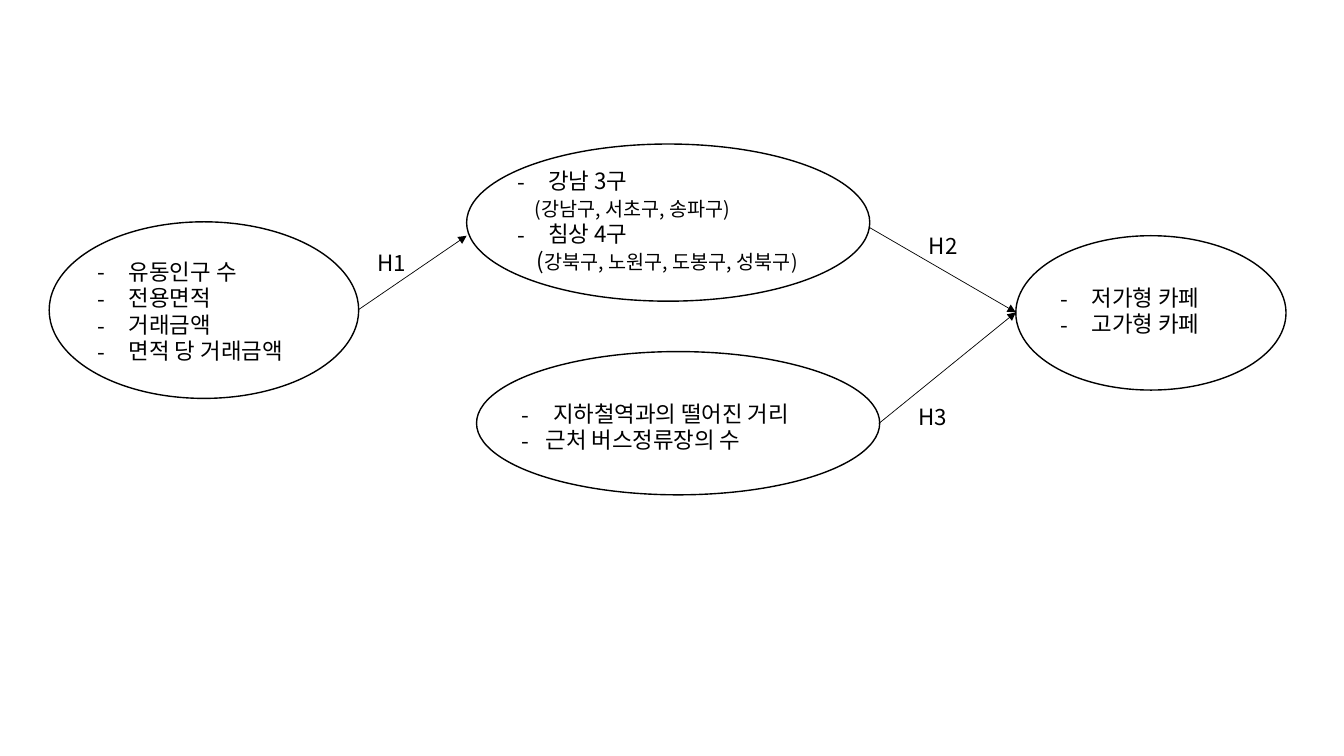
from lxml.etree import SubElement
from pptx import Presentation
from pptx.dml.color import RGBColor
from pptx.enum.shapes import MSO_CONNECTOR, MSO_SHAPE
from pptx.oxml.ns import qn
from pptx.util import Cm, Pt

COLORS = {"ink": "000000"}
FONT = "Noto Sans CJK KR"
LINE_HEIGHT = Pt(19)
HANG = 0.79  # cm between a dash and its wording

# Each factor: ellipse box, text box (cm), and lines of (dash?, indent, [(text, size)])
FACTORS = [
    ((1.24, 5.59, 7.8, 4.45), (2.21, 6.38, 6.22, 2.57), [
        (True, HANG, [("유동인구 수", 16)]),
        (True, HANG, [("전용면적", 16)]),
        (True, HANG, [("거래금액", 16)]),
        (True, HANG, [("면적 당 거래금액", 16)]),
    ]),
    ((11.76, 3.63, 10.16, 3.96), (12.78, 4.09, 9.17, 2.64), [
        (True, HANG, [("강남 3구", 16)]),
        (False, 0.44, [("(강남구, 서초구, 송파구)", 14)]),
        (True, HANG, [("침상 4구", 16)]),
        (False, 0.5, [("(", 16), ("강북구, 노원구, 도봉구, 성북구)", 14)]),
    ]),
    ((12.01, 8.86, 10.16, 3.61), (12.9, 9.96, 9.17, 1.35), [
        (True, HANG, [("지하철역과의 떨어진 거리", 16)]),
        (True, 0.6, [("근처 버스정류장의 수", 16)]),
    ]),
    ((25.6, 5.94, 6.81, 3.89), (26.47, 7.04, 6.15, 1.75), [
        (True, HANG, [("저가형 카페", 16)]),
        (True, HANG, [("고가형 카페", 16)]),
    ]),
]

# Each hypothesis: name, label corner, arrow start, arrow end (cm)
HYPOTHESES = [
    ("H1", (9.27, 6.17), (9.04, 7.8), (11.76, 5.94)),
    ("H2", (23.16, 5.72), (21.89, 5.72), (25.6, 7.87)),
    ("H3", (22.89, 10.03), (22.15, 10.67), (25.6, 7.87)),
]


def lengths(values):
    """Turn centimetre numbers into lengths."""
    return [Cm(value) for value in values]


def color(name):
    """Look up a named colour."""
    return RGBColor.from_string(COLORS[name])


def add_run(paragraph, wording, size):
    """Add one run in the slide's font, for Latin and Korean alike."""
    run = paragraph.add_run()
    run.text = wording
    run.font.size = Pt(size)
    run.font.name = FONT
    run.font.color.rgb = color("ink")
    SubElement(run.font._element, qn("a:ea"), typeface=FONT)


def set_indent(paragraph, dashed, indent):
    """Indent a paragraph, with a hanging dash when asked for."""
    properties = paragraph._p.get_or_add_pPr()
    properties.set("marL", str(Cm(indent)))
    properties.set("indent", str(-Cm(indent) if dashed else 0))
    if dashed:
        SubElement(properties, qn("a:buFont"), typeface=FONT)
        SubElement(properties, qn("a:buChar"), char="-")


def add_text(shapes, box, lines):
    """Add a text box with one paragraph per line."""
    frame = shapes.add_textbox(*lengths(box)).text_frame
    frame.word_wrap = True
    for index, (dashed, indent, runs) in enumerate(lines):
        paragraph = frame.add_paragraph() if index else frame.paragraphs[0]
        paragraph.line_spacing = LINE_HEIGHT
        set_indent(paragraph, dashed, indent)
        for wording, size in runs:
            add_run(paragraph, wording, size)


def add_factor(slide, ellipse_box, text_box, lines):
    """Group an outlined ellipse with its list."""
    shapes = slide.shapes.add_group_shape().shapes
    ellipse = shapes.add_shape(MSO_SHAPE.OVAL, *lengths(ellipse_box))
    ellipse.shadow.inherit = False
    ellipse.fill.background()
    ellipse.line.color.rgb = color("ink")
    ellipse.line.width = Pt(1)
    add_text(shapes, text_box, lines)


def add_arrow(slide, start, end):
    """Draw a thin straight arrow."""
    arrow = slide.shapes.add_connector(
        MSO_CONNECTOR.STRAIGHT, *lengths(start + end))
    arrow.line.color.rgb = color("ink")
    arrow.line.width = Pt(0.5)
    SubElement(arrow.line._get_or_add_ln(), qn("a:tailEnd"), type="triangle")
    SubElement(arrow._element.spPr, qn("a:effectLst"))


def main():
    """Build the research model slide."""
    deck = Presentation()
    deck.slide_width, deck.slide_height = Cm(33.87), Cm(19.05)
    slide = deck.slides.add_slide(deck.slide_layouts.get_by_name("Blank"))
    for ellipse_box, text_box, lines in FACTORS:
        add_factor(slide, ellipse_box, text_box, lines)
    for name, corner, start, end in HYPOTHESES:
        add_arrow(slide, start, end)
        add_text(slide.shapes, corner + (1.47, 0.94), [(False, 0, [(name, 16)])])
    deck.save("out.pptx")


main()
